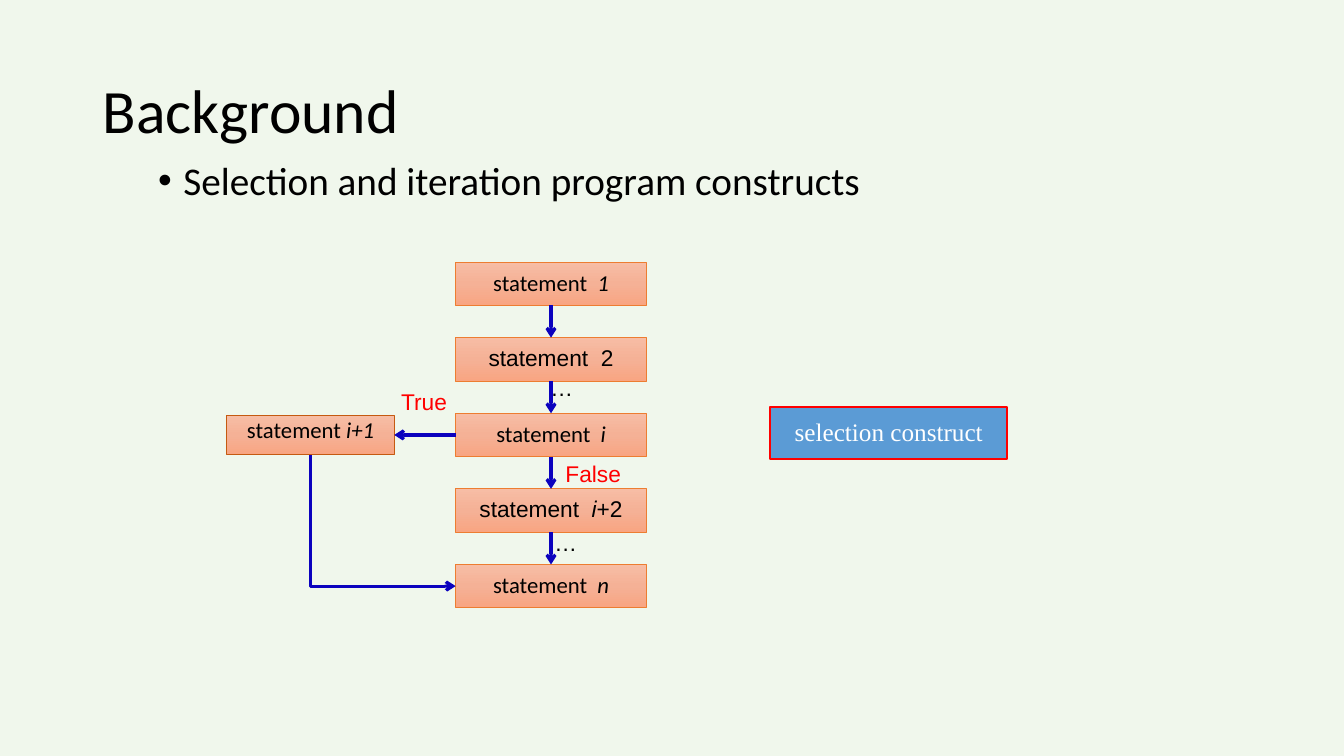
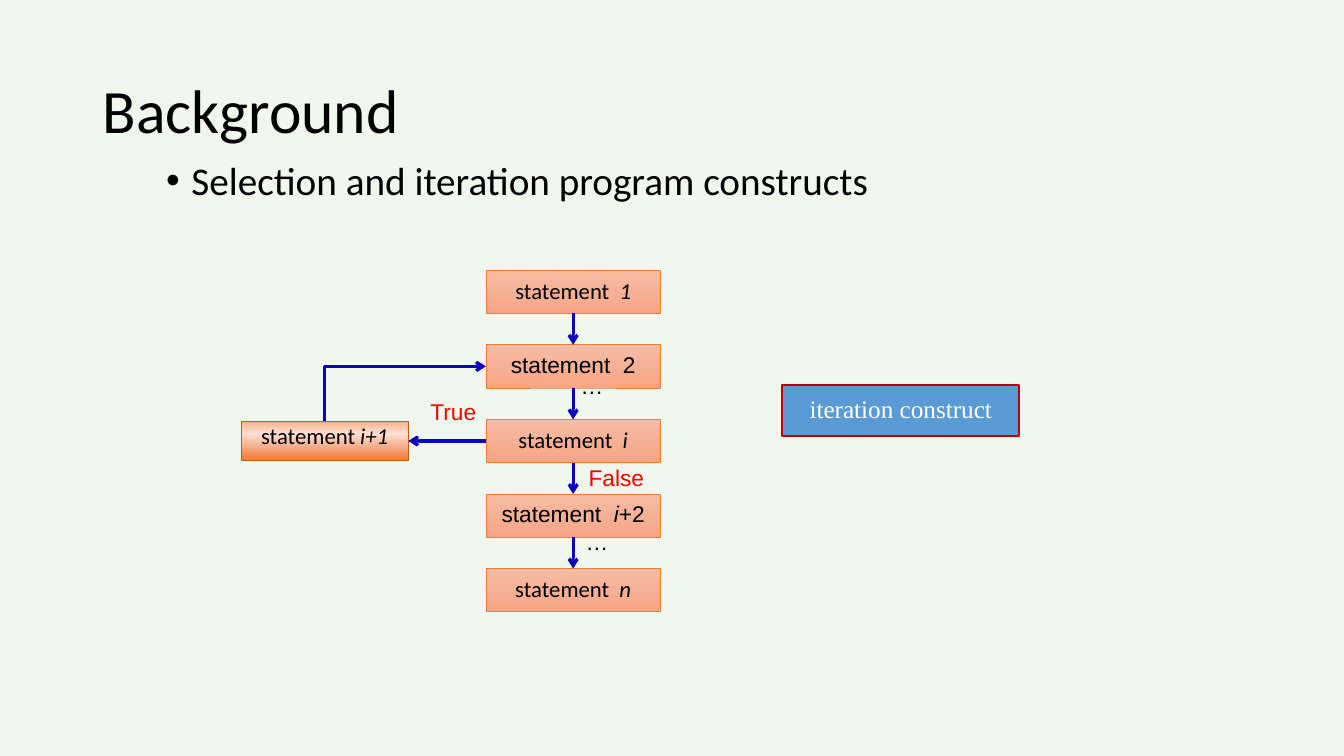
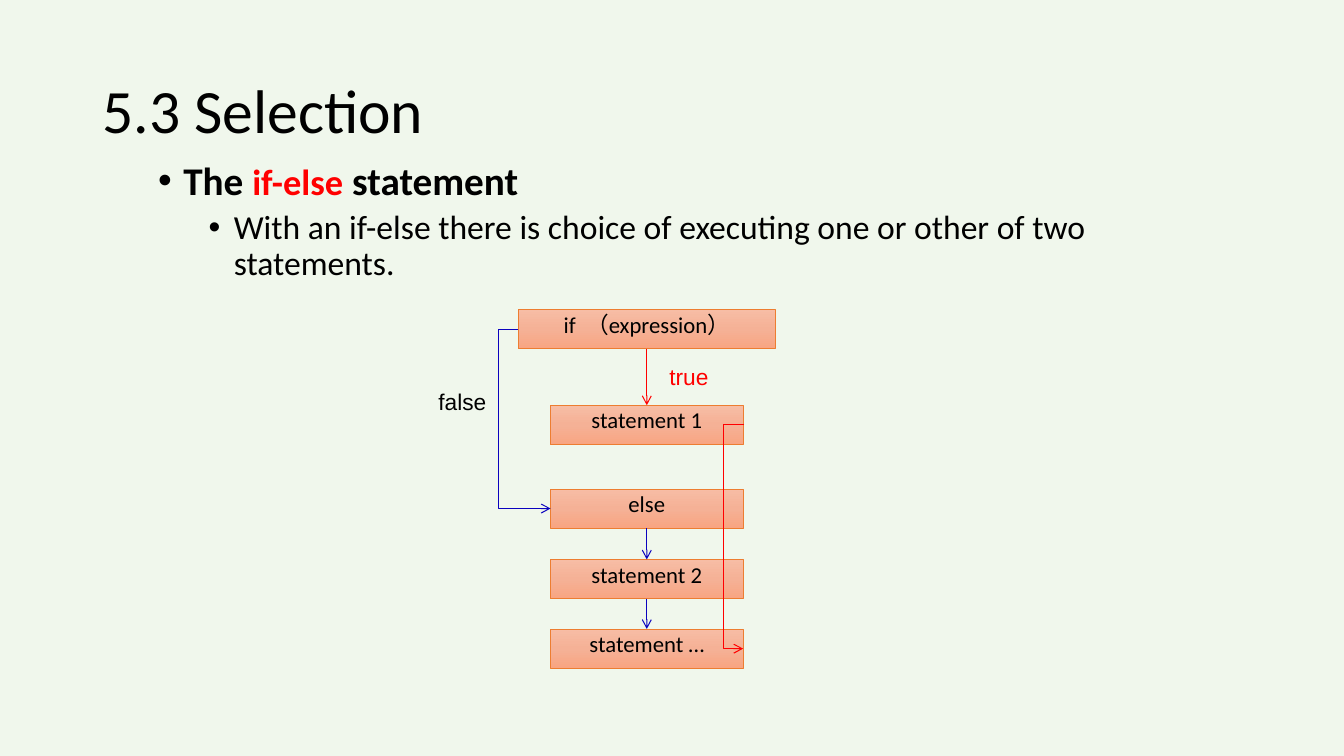
from dataclasses import dataclass

from lxml.etree import SubElement
from pptx import Presentation
from pptx.dml.color import RGBColor
from pptx.enum.shapes import MSO_CONNECTOR as Link, MSO_SHAPE as Preset
from pptx.enum.text import MSO_ANCHOR as Anchor, MSO_AUTO_SIZE as Fit, PP_ALIGN as Align
from pptx.oxml.ns import qn
from pptx.util import Emu, Pt

EMU_PER_PX = 9144
TOP, LEFT, BOTTOM, RIGHT = range(4)


@dataclass(frozen=True)
class Theme:
    background: str = "F0F7EC"
    ink: str = "000000"
    paper: str = "FFFFFF"
    alert: str = "FF0000"
    flow: str = "0B02BE"
    step_line: str = "ED7D31"
    side_line: str = "C55A11"
    tag_fill: str = "5B9BD5"
    deep_red: str = "C00000"
    step_stops: tuple = ((0, "F7BDA5"), (50, "F5B196"), (100, "F8A582"))
    glow_stops: tuple = ((0, "F4B183"), (31, "FFDFD6"), (91, "EE864C"))
    body_font: str = "Calibri"
    label_font: str = "Arial"
    tag_font: str = "Times New Roman"
    title_size: float = 44
    topic_size: float = 28
    keyword_size: float = 26
    detail_size: float = 24
    tag_size: float = 18
    step_size: float = 16.2
    hairline: float = 0.5
    thin: float = 0.75
    frame: float = 1.5
    thick: float = 2.25


THEME = Theme()


@dataclass(frozen=True)
class Run:
    text: str
    size: float = THEME.step_size
    font: str = THEME.body_font
    color: str = THEME.ink
    bold: bool = False
    italic: bool = False


def px(length):
    return Emu(round(length * EMU_PER_PX))


def rgb(code):
    return RGBColor.from_string(code)


def write(paragraph, runs, spacing=None, before=0, after=0, align=Align.LEFT):
    paragraph.alignment = align
    paragraph.space_before, paragraph.space_after = Pt(before), Pt(after)
    if spacing:
        paragraph.line_spacing = spacing
    for part in runs:
        run = paragraph.add_run()
        run.text = part.text
        run.font.size = Pt(part.size)
        run.font.name = part.font
        run.font.bold, run.font.italic = part.bold, part.italic
        run.font.color.rgb = rgb(part.color)


def add_bullet(paragraph, margin, hang):
    props = paragraph._p.get_or_add_pPr()
    props.set("marL", str(px(margin)))
    props.set("indent", str(-px(hang)))
    SubElement(props, qn("a:buFont")).set("typeface", THEME.label_font)
    SubElement(props, qn("a:buChar")).set("char", "•")


def text_frame(slide, box):
    frame = slide.shapes.add_textbox(*map(px, box)).text_frame
    frame.word_wrap = True
    return frame


def add_label(slide, box, text, color=THEME.ink, **style):
    frame = text_frame(slide, box)
    frame.auto_size = Fit.SHAPE_TO_FIT_TEXT
    write(frame.paragraphs[0], [Run(text, font=THEME.label_font, color=color)], **style)


def fill_gradient(shape, stops):
    shape.fill.gradient()
    shape.fill.gradient_angle = 270
    stop_list = shape.element.find(".//" + qn("a:gsLst"))
    stop_list.clear()
    for position, color in stops:
        stop = SubElement(stop_list, qn("a:gs"), pos=str(position * 1000))
        SubElement(stop, qn("a:srgbClr"), val=color)


def add_panel(slide, box, runs, line, weight, anchor):
    panel = slide.shapes.add_shape(Preset.RECTANGLE, *map(px, box))
    panel.shadow.inherit = False
    panel.line.color.rgb = rgb(line)
    panel.line.width = Pt(weight)
    frame = panel.text_frame
    frame.word_wrap = True
    frame.vertical_anchor = anchor
    frame.margin_left = frame.margin_right = px(8)
    frame.margin_top = frame.margin_bottom = px(4)
    write(frame.paragraphs[0], runs, 0.9, 4.8, 4.8, Align.CENTER)
    return panel


def add_step(slide, box, runs, anchor=Anchor.TOP, line=THEME.step_line, stops=THEME.step_stops):
    step = add_panel(slide, box, runs, line, THEME.hairline, anchor)
    fill_gradient(step, stops)
    return step


def add_tag(slide, box, text, line):
    caption = Run(text, THEME.tag_size, THEME.tag_font, THEME.paper)
    tag = add_panel(slide, box, [caption], line, THEME.frame, Anchor.MIDDLE)
    tag.fill.solid()
    tag.fill.fore_color.rgb = rgb(THEME.tag_fill)


def link(slide, start, start_side, end, end_side, color, weight, kind=Link.STRAIGHT, arrow="a:tailEnd"):
    connector = slide.shapes.add_connector(kind, 0, 0, 0, 0)
    connector.begin_connect(start, start_side)
    connector.end_connect(end, end_side)
    connector.line.color.rgb = rgb(color)
    connector.line.width = Pt(weight)
    props = connector.element.spPr
    SubElement(props.find(qn("a:ln")), qn(arrow), type="arrow")
    SubElement(props, qn("a:effectLst"))
    return connector


def link_corner(slide, start, start_side, end, end_side):
    corner = link(slide, end, end_side, start, start_side, THEME.flow, THEME.thick, Link.ELBOW, "a:headEnd")
    corner.element.spPr.find(qn("a:prstGeom")).set("prst", "bentConnector2")


def link_detour(slide, start, end, side, reach, color):
    detour = link(slide, start, side, end, side, color, THEME.thin, Link.ELBOW)
    detour.width = max(detour.width, px(1))
    bend = round(100000 * px(reach) / detour.width)
    guides = detour.element.find(".//" + qn("a:avLst"))
    SubElement(guides, qn("a:gd"), name="adj1", fmla=f"val {bend}")


def add_page(deck, title, body_box, topic, detail=None):
    slide = deck.slides.add_slide(deck.slide_layouts[6])
    slide.background.fill.solid()
    slide.background.fill.fore_color.rgb = rgb(THEME.background)
    heading = text_frame(slide, (92, 40, 1150, 145))
    heading.vertical_anchor = Anchor.MIDDLE
    write(heading.paragraphs[0], [Run(title, THEME.title_size)], 0.9)
    body = text_frame(slide, body_box)
    write(body.paragraphs[0], topic, 0.9, 10)
    add_bullet(body.paragraphs[0], 25, 25)
    if detail:
        point = body.add_paragraph()
        write(point, [Run(detail, THEME.detail_size)], 0.9, 5)
        add_bullet(point, 75, 25)
    return slide


def draw_flow(slide, origin, column, step_width, pitch, side_stops, return_side, return_to, labels):
    left, top = origin
    step_height, side_height = 43, 39
    word = "statement  "
    arial = THEME.label_font
    step_texts = (
        [Run(word), Run("1", italic=True)],
        [Run(word + "2", font=arial)],
        [Run(word), Run("i", italic=True)],
        [Run(word, font=arial), Run("i", font=arial, italic=True), Run("+2", font=arial)],
        [Run(word), Run("n", italic=True)],
    )
    steps = [
        add_step(slide, (left + column, top + row * pitch, step_width, step_height), runs, Anchor.MIDDLE)
        for row, runs in enumerate(step_texts)
    ]
    branch_top = top + 2 * pitch + (step_height - side_height) // 2
    branch = add_step(
        slide, (left, branch_top, 166, side_height),
        [Run("statement "), Run("i+1", italic=True)],
        line=THEME.side_line, stops=side_stops,
    )
    for upper, lower in zip(steps, steps[1:]):
        link(slide, upper, BOTTOM, lower, TOP, THEME.flow, THEME.thick)
    link(slide, steps[2], LEFT, branch, RIGHT, THEME.flow, THEME.thick)
    link_corner(slide, branch, return_side, steps[return_to], LEFT)
    for text, x, y, width, color in labels:
        add_label(slide, (left + x, top + y, width, 37), text, color)


def draw_if_else(slide, origin):
    left, top = origin
    height = 39
    condition = add_step(slide, (left + 89, top, 255, height), [Run("if  （expression）")])
    rows = ((95, "statement 1"), (178, "else"), (248, "statement 2"), (317, "statement …"))
    chosen, otherwise, other, following = [
        add_step(slide, (left + 121, top + y, 191, height), [Run(text)]) for y, text in rows
    ]
    link_detour(slide, condition, otherwise, LEFT, -20, THEME.flow)
    link(slide, otherwise, BOTTOM, other, TOP, THEME.flow, THEME.thin)
    link(slide, other, BOTTOM, following, TOP, THEME.flow, THEME.thin)
    link(slide, condition, BOTTOM, chosen, TOP, THEME.alert, THEME.thin)
    link_detour(slide, chosen, following, RIGHT, 21, THEME.alert)
    spacing = dict(spacing=0.9, before=5.9, after=5.9)
    add_label(slide, (left, top + 76, 116, 35), "false", **spacing)
    add_label(slide, (left + 229, top + 51, 95, 35), "true", THEME.alert, **spacing)


def main():
    deck = Presentation()
    deck.slide_width, deck.slide_height = px(1333), px(750)
    topic = [Run("Selection and iteration program constructs", THEME.topic_size)]

    selection = add_page(deck, "Background", (147, 155, 975, 512), topic)
    draw_flow(
        selection, (225, 260), 227, 189, 75, THEME.step_stops, BOTTOM, 4,
        (
            ("True", 163, 120, 70, THEME.alert),
            ("False", 326, 191, 83, THEME.alert),
            ("…", 311, 106, 83, THEME.ink),
            ("…", 315, 260, 83, THEME.ink),
        ),
    )
    add_tag(selection, (764, 404, 235, 51), "selection construct", THEME.alert)

    iteration = add_page(deck, "Background", (155, 155, 975, 66), topic)
    draw_flow(
        iteration, (239, 268), 243, 173, 74, THEME.glow_stops, TOP, 1,
        (
            ("True", 178, 122, 70, THEME.alert),
            ("False", 335, 187, 83, THEME.alert),
            ("…", 327, 96, 83, THEME.ink),
            ("…", 332, 251, 83, THEME.ink),
        ),
    )
    add_tag(iteration, (776, 382, 235, 51), "iteration construct", THEME.deep_red)

    if_else = add_page(
        deck, "5.3 Selection", (147, 155, 1032, 512),
        [
            Run("The ", THEME.topic_size, bold=True),
            Run("if-else", THEME.keyword_size, color=THEME.alert, bold=True),
            Run(" statement", THEME.topic_size, bold=True),
        ],
        "With an if-else there is choice of executing one or other of two statements.",
    )
    draw_if_else(if_else, (425, 307))

    deck.save("out.pptx")


if __name__ == "__main__":
    main()
